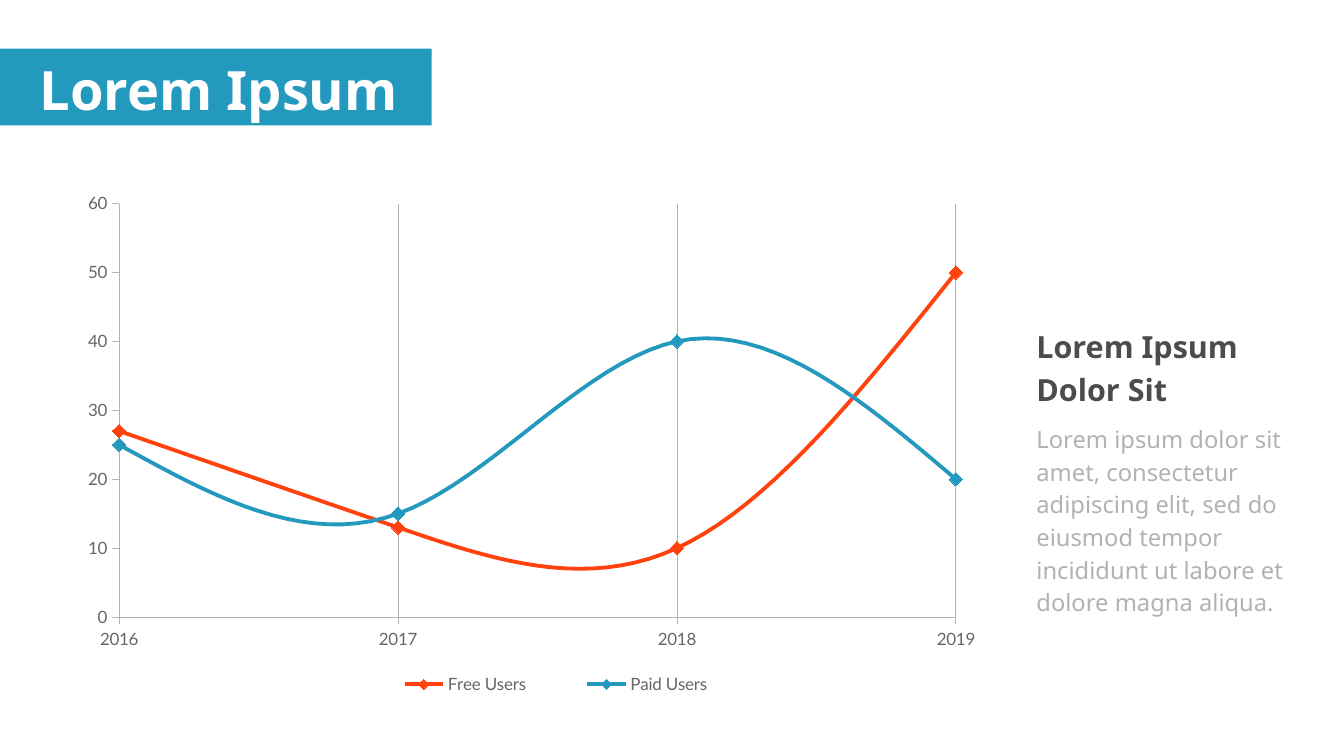
import lxml.etree
import pptx
import pptx.chart.data
import pptx.dml.color
import pptx.enum.chart
import pptx.enum.shapes
import pptx.enum.text
import pptx.oxml
import pptx.oxml.ns
import pptx.util

COLS, ROWS = 110.2, 62
CELL = pptx.util.Inches(0.1)
BLUE, RED, WHITE = "2499BE", "FF420E", "FFFFFF"
DARK, PALE, LABEL, RULE = "4C4C4C", "B2B2B2", "666666", "B3B3B3"
YEARS = ["2016", "2017", "2018", "2019"]
USERS = [
    ("Free Users", [27, 13, 10, 50], RED),
    ("Paid Users", [25, 15, 40, 20], BLUE),
]


def grid(*cells):
    return [round(n * CELL) for n in cells]


def color(code):
    return pptx.dml.color.RGBColor.from_string(code)


def style(font, face, size, code, bold=False):
    font.name = face
    font.size = pptx.util.Pt(size)
    font.bold = bold
    font.color.rgb = color(code)


def write(para, text, size, code, bold=False):
    run = para.add_run()
    run.text = text
    style(run.font, "Noto Sans", size, code, bold)


def band(slide, area):
    rect = pptx.enum.shapes.MSO_SHAPE.RECTANGLE
    shape = slide.shapes.add_shape(rect, *grid(*area))
    shape.shadow.inherit = False
    shape.fill.solid()
    shape.fill.fore_color.rgb = color(BLUE)
    shape.line.fill.background()


def head(slide, area, text):
    title = slide.shapes.title
    title.left, title.top, title.width, title.height = grid(*area)
    title.element.getparent().append(title.element)
    frame = title.text_frame
    frame.margin_left = frame.margin_right = 0
    frame.margin_top = frame.margin_bottom = 0
    frame.vertical_anchor = pptx.enum.text.MSO_ANCHOR.MIDDLE
    para = frame.paragraphs[0]
    para.alignment = pptx.enum.text.PP_ALIGN.CENTER
    write(para, text, 32, WHITE, True)


def note(slide, area, text, size, code, bold=False):
    frame = slide.shapes.add_textbox(*grid(*area)).text_frame
    frame.word_wrap = True
    para = frame.paragraphs[0]
    para.line_spacing = 1.15
    write(para, text, size, code, bold)


def rule(line):
    line.color.rgb = color(RULE)
    line.width = pptx.util.Pt(0.5)


def axis(item, lines):
    item.has_major_gridlines = lines
    if lines:
        rule(item.major_gridlines.format.line)
    item.major_tick_mark = pptx.enum.chart.XL_TICK_MARK.OUTSIDE
    rule(item.format.line)
    style(item.tick_labels.font, "Lato", 10, LABEL)


def layout(parent, spot, inner=False):
    for old in parent.findall(pptx.oxml.ns.qn("c:layout")):
        parent.remove(old)
    target = '<c:layoutTarget val="inner"/>' if inner else ""
    modes = "".join(f'<c:{k}Mode val="edge"/>' for k in "xy")
    sizes = "".join(f'<c:{k} val="{v}"/>' for k, v in zip("xywh", spot))
    return pptx.oxml.parse_xml(
        f'<c:layout {pptx.oxml.ns.nsdecls("c")}><c:manualLayout>'
        f"{target}{modes}{sizes}</c:manualLayout></c:layout>"
    )


def trend(series, code):
    series.smooth = True
    series.format.line.color.rgb = color(code)
    series.format.line.width = pptx.util.Pt(2.27)
    mark = series.marker
    mark.style = pptx.enum.chart.XL_MARKER_STYLE.DIAMOND
    mark.size = 8
    mark.format.fill.solid()
    mark.format.fill.fore_color.rgb = color(code)
    mark.format.line.color.rgb = color(code)


def graph(slide, area):
    data = pptx.chart.data.CategoryChartData()
    data.categories = YEARS
    for name, values, _ in USERS:
        data.add_series(name, values)
    kind = pptx.enum.chart.XL_CHART_TYPE.LINE_MARKERS
    chart = slide.shapes.add_chart(kind, *grid(*area), data).chart
    chart.has_title = False
    style(chart.font, "Arial", 10, "000000")
    axis(chart.category_axis, True)
    axis(chart.value_axis, False)
    scale = chart.value_axis
    scale.minimum_scale, scale.maximum_scale, scale.major_unit = 0, 60, 10
    plot = chart.plots[0]
    plot.vary_by_categories = False
    for series, (_, _, code) in zip(plot.series, USERS):
        trend(series, code)
    chart.has_legend = True
    legend = chart.legend
    legend.position = pptx.enum.chart.XL_LEGEND_POSITION.BOTTOM
    legend.include_in_layout = False
    style(legend.font, "Lato", 10, LABEL)
    key = legend._element
    key.find(pptx.oxml.ns.qn("c:legendPos")).addnext(
        layout(key, (0.3, 0.94, 0.45, 0.06)))
    field = plot._element.getparent()
    field.insert(0, layout(field, (0.05, 0.04, 0.91, 0.8), True))
    cross = scale._element.find(pptx.oxml.ns.qn("c:crossBetween"))
    if cross is None:
        cross = lxml.etree.Element(pptx.oxml.ns.qn("c:crossBetween"))
        scale._element.find(pptx.oxml.ns.qn("c:crosses")).addnext(cross)
    cross.set("val", "midCat")


def main():
    deck = pptx.Presentation()
    deck.slide_width, deck.slide_height = grid(COLS, ROWS)
    slide = deck.slides.add_slide(deck.slide_layouts[5])
    band(slide, (0, 4, 35.4, 6.3))
    note(slide, (84, 26, 21, 8.8), "Lorem Ipsum Dolor Sit", 18, DARK, True)
    note(slide, (84, 34, 24.3, 21.6),
         "Lorem ipsum dolor sit amet, consectetur adipiscing elit, sed do "
         "eiusmod tempor incididunt ut labore et dolore magna aliqua.", 14, PALE)
    graph(slide, (6, 15, 75.4, 42.4))
    head(slide, (1.2, 4.2, 33.5, 6.1), "Lorem Ipsum")
    deck.save("out.pptx")


if __name__ == "__main__":
    main()
